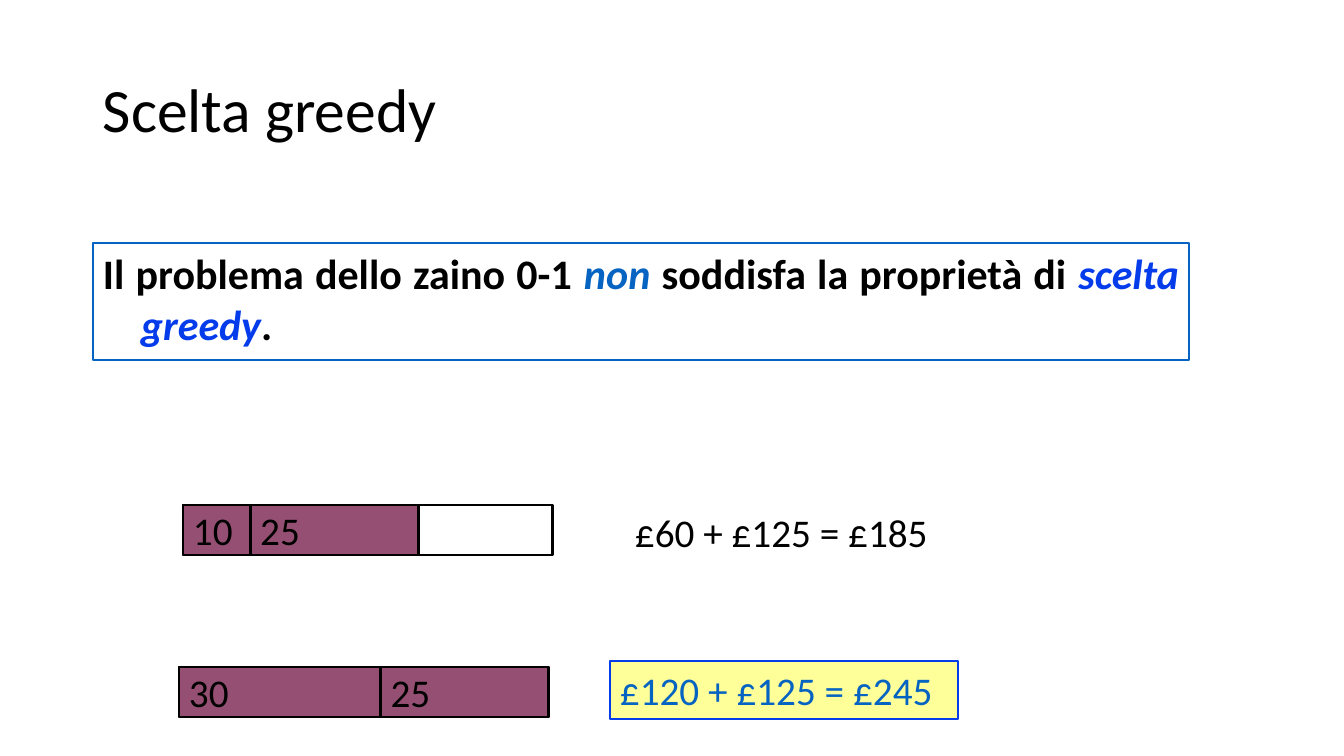
from pptx import Presentation
from pptx.dml.color import RGBColor
from pptx.enum.shapes import MSO_SHAPE
from pptx.enum.text import MSO_ANCHOR, PP_ALIGN
from pptx.util import Emu, Pt

RECT = MSO_SHAPE.RECTANGLE
TOP, MIDDLE = MSO_ANCHOR.TOP, MSO_ANCHOR.MIDDLE
LEFT, JUSTIFY = PP_ALIGN.LEFT, PP_ALIGN.JUSTIFY
SCALE = 914400 / 100.8  # EMU in one px


class Theme:
    font = "Calibri"
    black, blue, royal = "000000", "0563C1", "043BEA"
    plum, yellow = "954F72", "FFFF99"
    title, claim, label = 44, 30, 28


def px(n):
    return Emu(round(n * SCALE))


def color(code):
    return RGBColor.from_string(code)


def write(shape, runs, size=Theme.label, bold=False, align=LEFT,
          anchor=MIDDLE, spacing=None, hang=0):
    """Fill a shape with one paragraph of (text, colour, italic) runs."""
    frame = shape.text_frame
    frame.word_wrap = True
    frame.vertical_anchor = anchor
    frame.margin_left = frame.margin_right = px(10)
    frame.margin_top = frame.margin_bottom = px(5)
    para = frame.paragraphs[0]
    para.alignment = align
    if spacing:
        para.line_spacing = spacing
    if hang:
        props = para._p.get_or_add_pPr()
        props.set("marL", str(px(hang)))
        props.set("indent", str(-px(hang)))
    for text, code, italic in runs:
        run = para.add_run()
        run.text = text
        font = run.font
        font.name, font.size = Theme.font, Pt(size)
        font.bold, font.italic = bold, italic
        font.color.rgb = color(code)


def label(slide, left, top, width, height, text, **style):
    box = slide.shapes.add_textbox(px(left), px(top), px(width), px(height))
    write(box, [(text, Theme.black, False)], **style)


def panel(slide, left, top, width, height, line, weight, fill=None):
    box = slide.shapes.add_shape(RECT, px(left), px(top), px(width), px(height))
    box.shadow.inherit = False
    box.line.color.rgb = color(line)
    box.line.width = Pt(weight)
    if fill:
        box.fill.solid()
        box.fill.fore_color.rgb = color(fill)
    else:
        box.fill.background()
    return box


def sack(slide, left, top, loads, total=55, unit=6.72, height=50):
    """Draw a knapsack whose items are as wide as their weight."""
    panel(slide, left, top, total * unit, height, Theme.black, 2)
    for load in loads:
        item = panel(slide, left, top, load * unit, height,
                     Theme.black, 2, Theme.plum)
        write(item, [(str(load), Theme.black, False)])
        left += load * unit


def main():
    deck = Presentation()
    deck.slide_width, deck.slide_height = px(1344), px(756)
    slide = deck.slides.add_slide(deck.slide_layouts[6])

    # Title
    label(slide, 93, 40, 1159, 146, "Scelta greedy",
          size=Theme.title, spacing=0.9)

    # Claim
    claim = panel(slide, 93, 243, 1096, 117, Theme.blue, 1)
    write(claim, [
        ("Il problema dello zaino 0-1 ", Theme.black, False),
        ("non ", Theme.blue, True),
        ("soddisfa la proprietà di ", Theme.black, False),
        ("scelta greedy", Theme.royal, True),
        (".", Theme.black, False),
    ], size=Theme.claim, bold=True, align=JUSTIFY, anchor=TOP, hang=38)

    # Greedy choice
    sack(slide, 183, 505, [10, 25])
    label(slide, 625, 507, 534, 50, "£60 + £125 = £185")

    # Best choice
    sack(slide, 179, 667, [30, 25])
    best = panel(slide, 610, 661, 348, 58, Theme.royal, 1.5, Theme.yellow)
    write(best, [("£120 + £125 = £245", Theme.blue, False)], anchor=TOP)

    deck.save("out.pptx")


if __name__ == "__main__":
    main()
